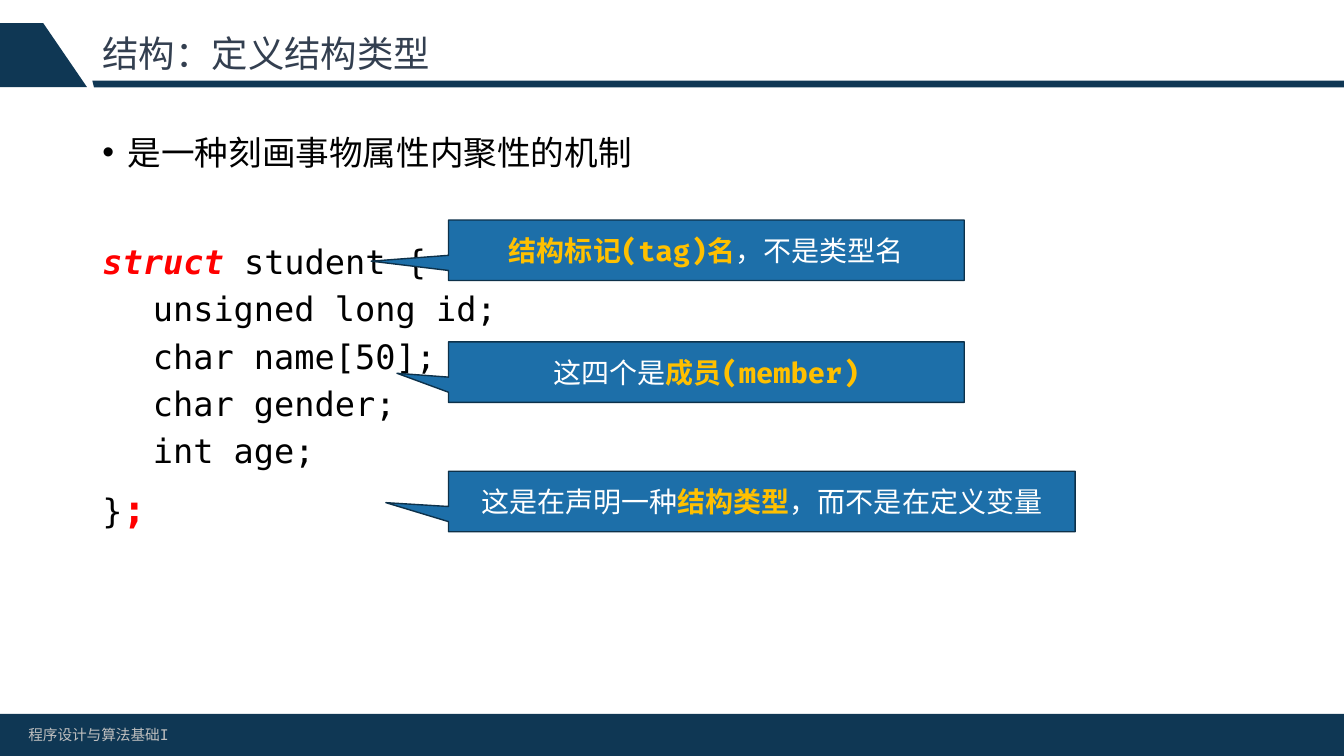
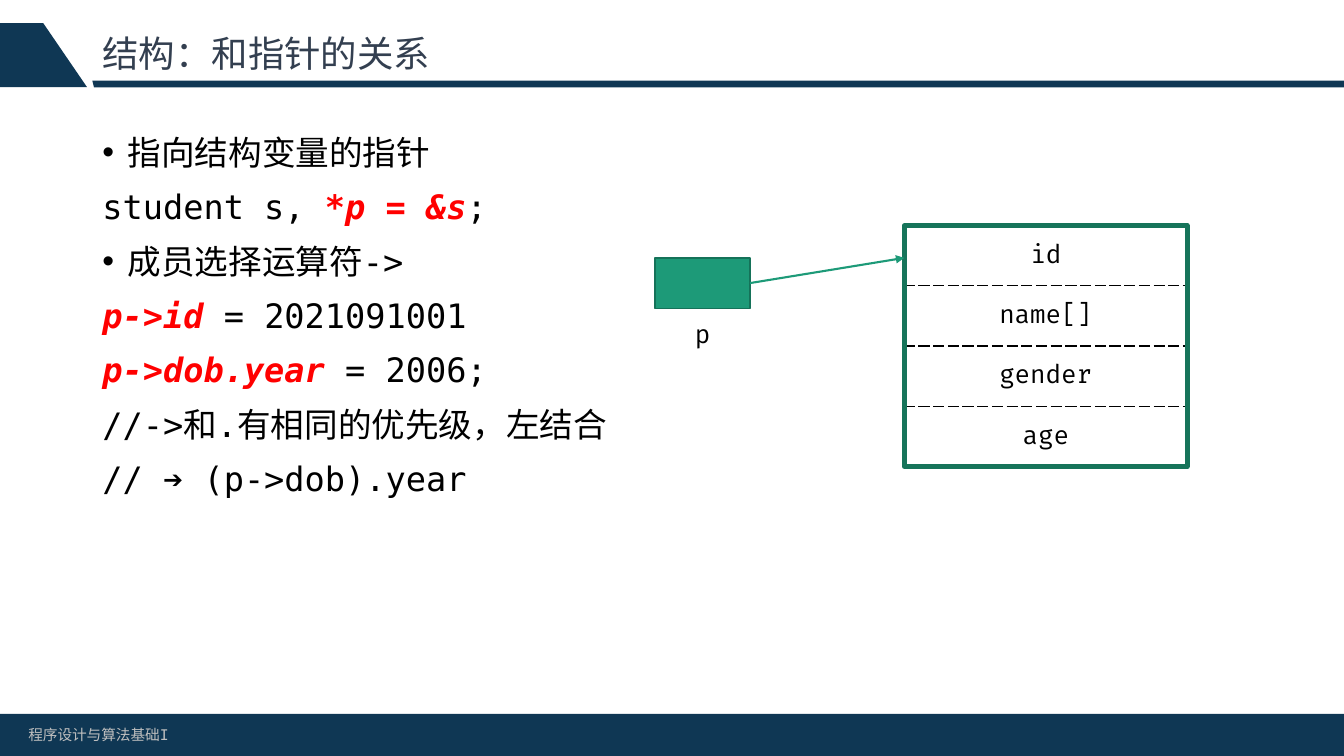
from dataclasses import dataclass

from lxml import etree
from pptx import Presentation
from pptx import util as u
from pptx.dml.color import RGBColor
from pptx.enum import dml, shapes, text
from pptx.oxml import ns

COLUMNS, ROWS = 160, 90
CELL = u.Inches(7.5) / ROWS

NAVY, TITLE_GRAY, FOOTER_GRAY = "0F3754", "333F50", "BFBFBF"
BLUE, BLUE_EDGE, GOLD = "1D6FA9", "0D314A", "FFC000"
GREEN, GREEN_EDGE, GREEN_FRAME = "1D9A78", "157259", "16745A"
BLACK, WHITE, RED = "000000", "FFFFFF", "FF0000"
MONO, CODE = "DejaVu Sans Mono", "Fira Code"
FOOTER = "程序设计与算法基础I"


@dataclass(frozen=True)
class Box:
    """A rectangle in grid cells."""
    left: float
    top: float
    width: float
    height: float

    @property
    def emu(self) -> tuple:
        return tuple(grid(n) for n in (self.left, self.top, self.width, self.height))


@dataclass(frozen=True)
class Run:
    text: str
    color: str = BLACK
    bold: bool = False
    italic: bool = False
    size: float = 24
    font: str = MONO


@dataclass(frozen=True)
class Line:
    """A body paragraph; indent is the left margin in grid cells."""
    runs: tuple
    bullet: bool = False
    indent: float = 0
    before: float = 10


@dataclass(frozen=True)
class Callout:
    box: Box
    tip: tuple
    runs: tuple


TITLE_BOX = Box(11, 2.76, 138, 7.65)
BODY_BOX = Box(11, 15.1, 138, 65.2)
FOOTER_BAND = Box(0, 85, COLUMNS, 5)
FOOTER_TEXT = Box(2.2, 85.8, 51.8, 3.5)
HEADER_OUTLINES = (
    ((11, 9.6), (COLUMNS, 9.6), (COLUMNS, 10.4), (11.2, 10.4)),
    ((5.15, 2.76), (10.35, 10.36), (0, 10.36), (0, 2.76)),
)


def grid(cells: float) -> int:
    return round(cells * CELL)


def rgb(color: str) -> RGBColor:
    return RGBColor.from_string(color)


def add_xml(parent, tag: str, **attributes: str):
    return etree.SubElement(parent, ns.qn(tag), attributes)


def add_run(paragraph, run: Run) -> None:
    added = paragraph.add_run()
    added.text = run.text
    font = added.font
    font.size, font.bold, font.italic = u.Pt(run.size), run.bold, run.italic
    font.color.rgb = rgb(run.color)
    font.name = run.font
    add_xml(added._r.get_or_add_rPr(), "a:ea", typeface=run.font)


def write_centred(frame, runs: tuple) -> None:
    frame.word_wrap = True
    frame.vertical_anchor = text.MSO_ANCHOR.MIDDLE
    paragraph = frame.paragraphs[0]
    paragraph.alignment = text.PP_ALIGN.CENTER
    for run in runs:
        add_run(paragraph, run)


def paint(shape, fill: str = "", line: str = "", width: float = 1) -> None:
    """Set fill and outline; an empty colour means none."""
    shape.shadow.inherit = False
    if fill:
        shape.fill.solid()
        shape.fill.fore_color.rgb = rgb(fill)
    else:
        shape.fill.background()
    if line:
        shape.line.color.rgb = rgb(line)
        shape.line.width = u.Pt(width)
    else:
        shape.line.fill.background()


def add_box(slide, box: Box, fill: str = "", line: str = "", width: float = 1):
    shape = slide.shapes.add_shape(shapes.MSO_SHAPE.RECTANGLE, *box.emu)
    paint(shape, fill, line, width)
    return shape


def add_outline(slide, points: tuple):
    corners = [(grid(x), grid(y)) for x, y in points]
    builder = slide.shapes.build_freeform(*corners[0])
    builder.add_line_segments(corners[1:], close=True)
    shape = builder.convert_to_shape()
    paint(shape, NAVY)
    return shape


def place(shape, box: Box) -> None:
    shape.left, shape.top, shape.width, shape.height = box.emu


def prepare_layout(layout) -> None:
    place(layout.placeholders[0], TITLE_BOX)
    place(layout.placeholders[1], BODY_BOX)
    for placeholder in list(layout.placeholders)[2:]:
        layout.shapes.element.remove(placeholder.element)


def decorate_layout(slide) -> None:
    """Draw the shared bands and footer, then hand them to the slide's layout."""
    parts = [add_outline(slide, points) for points in HEADER_OUTLINES]
    parts.append(add_box(slide, FOOTER_BAND, NAVY))
    footer = slide.shapes.add_textbox(*FOOTER_TEXT.emu)
    footer.text_frame.word_wrap = True
    add_run(footer.text_frame.paragraphs[0], Run(FOOTER, FOOTER_GRAY, size=10.5))
    for part in parts + [footer]:
        slide.slide_layout.shapes.element.append(part.element)


def write_title(slide, title: str) -> None:
    frame = slide.shapes.title.text_frame
    frame.auto_size = text.MSO_AUTO_SIZE.NONE
    frame.vertical_anchor = text.MSO_ANCHOR.MIDDLE
    paragraph = frame.paragraphs[0]
    paragraph.alignment = text.PP_ALIGN.LEFT
    paragraph.line_spacing = 0.9
    add_run(paragraph, Run(title, TITLE_GRAY, size=26))


def write_body(slide, lines: tuple) -> None:
    frame = slide.placeholders[1].text_frame
    frame.auto_size = text.MSO_AUTO_SIZE.NONE
    for index, line in enumerate(lines):
        paragraph = frame.add_paragraph() if index else frame.paragraphs[0]
        paragraph.alignment = text.PP_ALIGN.JUSTIFY
        paragraph.level = 1 if line.indent else 0
        paragraph.space_before = u.Pt(line.before if index else 0)
        hanging = 3 if line.bullet else 0
        properties = paragraph._p.get_or_add_pPr()
        properties.set("marL", str(grid(line.indent + hanging)))
        properties.set("indent", str(-grid(hanging)))
        if line.bullet:
            add_xml(properties, "a:buFont", typeface="Arial")
            add_xml(properties, "a:buChar", char="•")
        else:
            add_xml(properties, "a:buNone")
        for run in line.runs:
            add_run(paragraph, run)


def add_callout(slide, callout: Callout) -> None:
    shape = slide.shapes.add_shape(
        shapes.MSO_SHAPE.RECTANGULAR_CALLOUT, *callout.box.emu)
    shape.adjustments[0], shape.adjustments[1] = callout.tip
    paint(shape, BLUE, BLUE_EDGE)
    write_centred(shape.text_frame, callout.runs)


def add_member_table(slide, box: Box, members: tuple) -> None:
    table = slide.shapes.add_table(len(members), 1, *box.emu).table
    table.first_row = table.horz_banding = False
    for row, member in enumerate(members):
        cell = table.cell(row, 0)
        write_centred(cell.text_frame, (Run(member, size=18, font=CODE),))
        cell.vertical_anchor = text.MSO_ANCHOR.MIDDLE
        properties = cell._tc.get_or_add_tcPr()
        for side in ("a:lnL", "a:lnR", "a:lnT", "a:lnB"):
            border = add_xml(properties, side, w=str(u.Pt(1)))
            add_xml(add_xml(border, "a:solidFill"), "a:srgbClr", val=BLACK)
            add_xml(border, "a:prstDash", val="dash")
        cell.fill.background()
    add_box(slide, box, line=GREEN_FRAME, width=3.25)


def add_arrow(slide, start: tuple, end: tuple) -> None:
    ends = [grid(n) for n in start + end]
    arrow = slide.shapes.add_connector(shapes.MSO_CONNECTOR.STRAIGHT, *ends)
    arrow.line.color.rgb = rgb(GREEN)
    arrow.line.width = u.Pt(1.5)
    arrow.line.dash_style = dml.MSO_LINE.SOLID
    add_xml(arrow.line._get_or_add_ln(), "a:tailEnd", type="triangle")
    add_xml(arrow._element.spPr, "a:effectLst")


def add_pointer(slide, pointer: Box, target: Box) -> None:
    add_box(slide, pointer, GREEN, GREEN_EDGE)
    label = Box(pointer.left, pointer.top + pointer.height,
                pointer.width, pointer.height)
    name = slide.shapes.add_textbox(*label.emu)
    write_centred(name.text_frame, (Run("p", size=18, font=CODE),))
    add_arrow(slide, (pointer.left + pointer.width, pointer.top + pointer.height / 2),
              (target.left, pointer.top))


def key(words: str) -> Run:
    return Run(words, RED, bold=True, italic=True)


def note(words: str) -> Run:
    return Run(words, WHITE, size=20, font=CODE)


def term(words: str) -> Run:
    return Run(words, GOLD, bold=True, size=20, font=CODE)


def bullet(words: str) -> Line:
    return Line((Run(words),), bullet=True)


def code(*runs: Run, before: float = 10) -> Line:
    return Line(runs, before=before)


def member_line(words: str) -> Line:
    return Line((Run(words),), indent=6, before=5)


DEFINITION_LINES = (
    bullet("是一种刻画事物属性内聚性的机制"),
    code(key("struct"), Run(" student {"), before=49),
    *map(member_line, ("unsigned long id;", "char name[50];",
                       "char gender;", "int age;")),
    code(Run("}"), Run(";", RED, bold=True, size=28)),
)
CALLOUTS = (
    Callout(Box(53.4, 26.2, 61.4, 7.2), (-0.65, 0.18),
            (term("结构标记(tag)名"), note("，不是类型名"))),
    Callout(Box(53.4, 40.7, 61.4, 7.2), (-0.6, 0.02),
            (note("这四个是"), term("成员(member)"))),
    Callout(Box(53.4, 56.1, 74.6, 7.2), (-0.6, 0.02),
            (note("这是在声明一种"), term("结构类型"), note("，而不是在定义变量"))),
)
POINTER_LINES = (
    bullet("指向结构变量的指针"),
    code(Run("student s, "), key("*p = &s"), Run(";")),
    bullet("成员选择运算符->"),
    code(key("p->id "), Run("= 2021091001")),
    code(key("p->dob.year "), Run("= 2006;")),
    code(Run("//->和.有相同的优先级，左结合")),
    code(Run("// ➔ (p->dob).year")),
)
MEMBERS = ("id", "name[]", "gender", "age")
MEMBER_BOX = Box(107.65, 26.85, 33.7, 28.7)
POINTER_BOX = Box(78, 30.7, 11.3, 6)


def main() -> None:
    presentation = Presentation()
    presentation.slide_width, presentation.slide_height = grid(COLUMNS), grid(ROWS)
    layout = presentation.slide_layouts[1]
    prepare_layout(layout)

    definition = presentation.slides.add_slide(layout)
    decorate_layout(definition)
    write_title(definition, "结构：定义结构类型")
    write_body(definition, DEFINITION_LINES)
    for callout in CALLOUTS:
        add_callout(definition, callout)

    pointers = presentation.slides.add_slide(layout)
    write_title(pointers, "结构：和指针的关系")
    write_body(pointers, POINTER_LINES)
    add_member_table(pointers, MEMBER_BOX, MEMBERS)
    add_pointer(pointers, POINTER_BOX, MEMBER_BOX)
    presentation.save("out.pptx")


if __name__ == "__main__":
    main()
